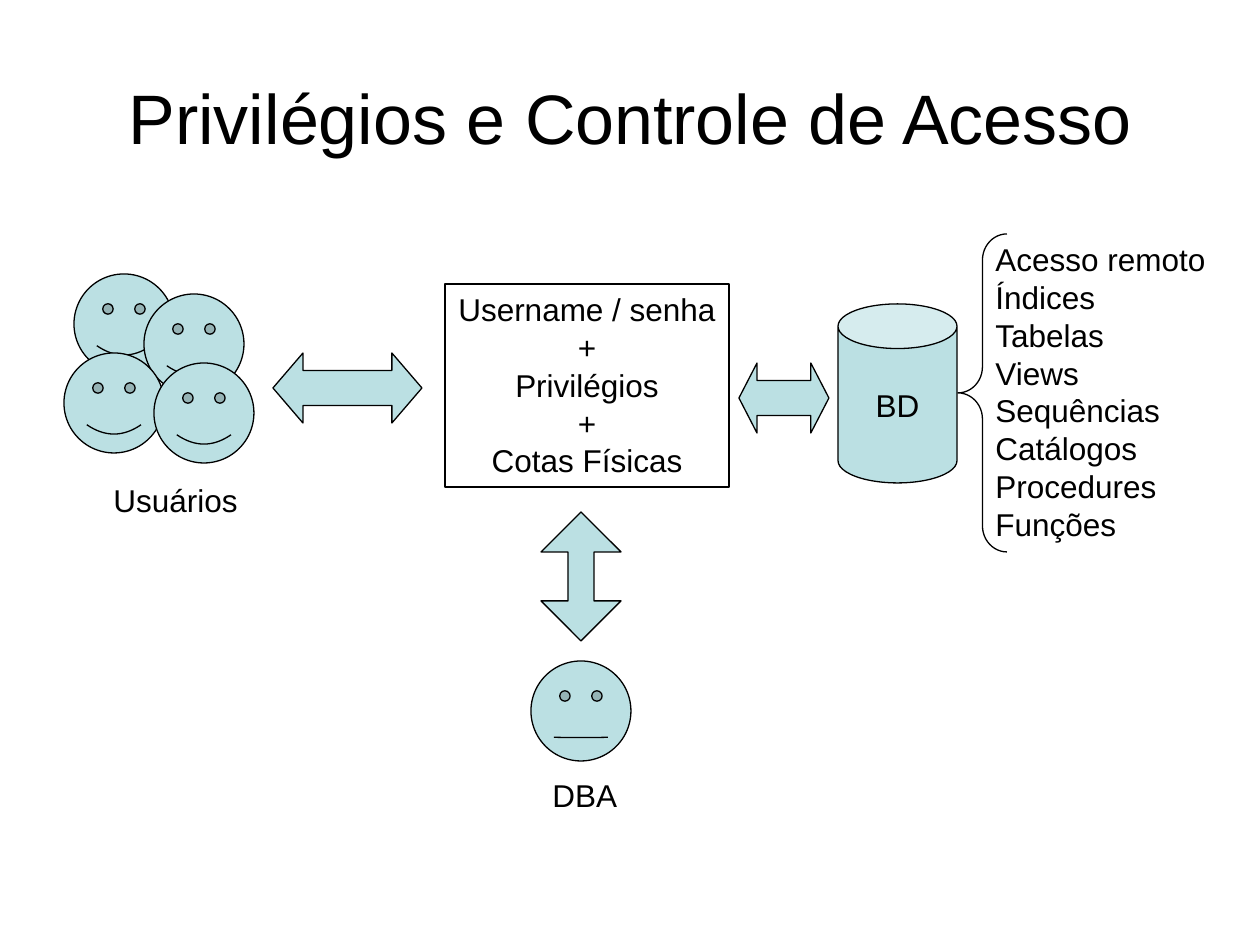
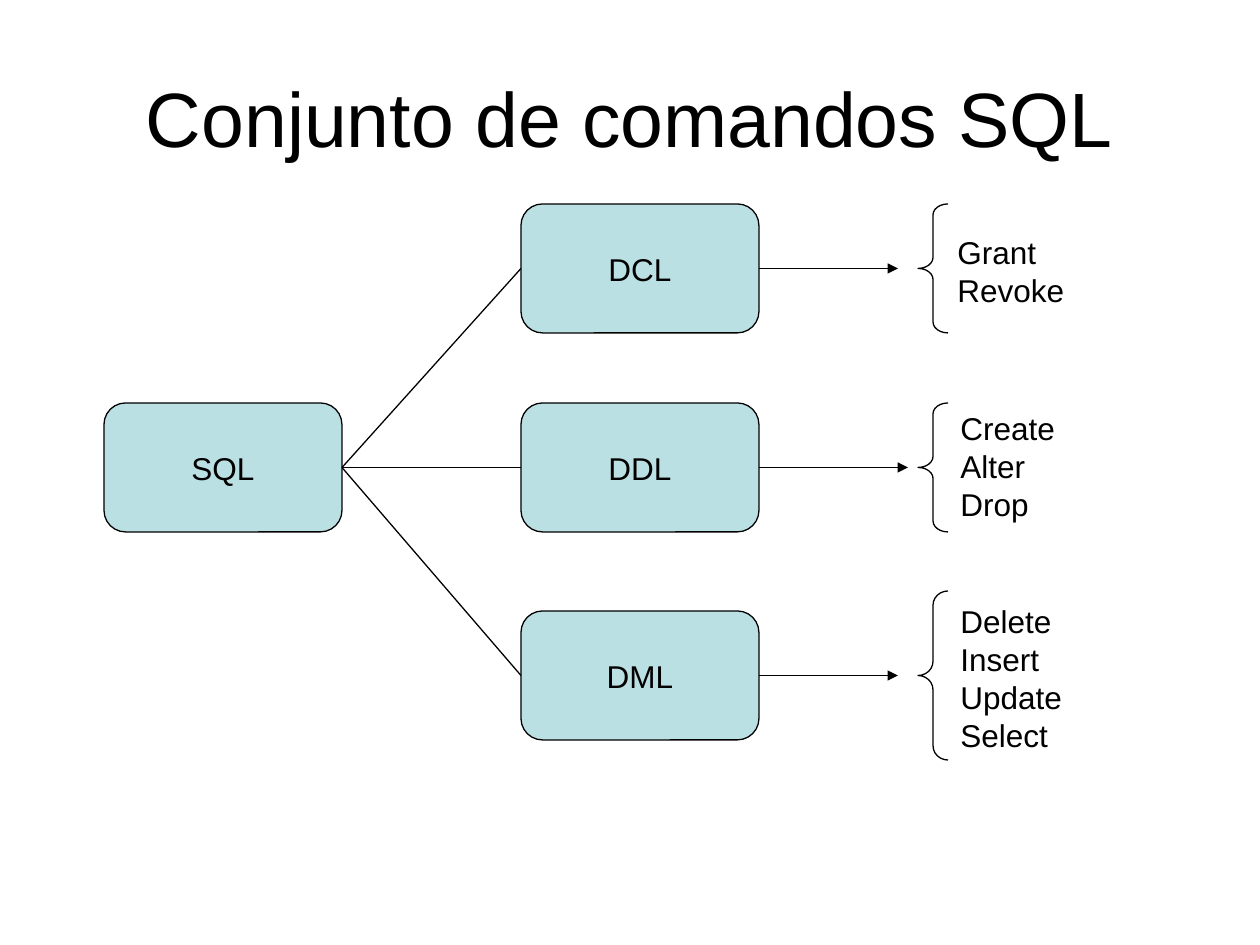
import lxml.etree
import pptx
import pptx.dml.color
import pptx.enum.shapes
import pptx.enum.text
import pptx.oxml.ns
import pptx.util

SHAPE = pptx.enum.shapes.MSO_SHAPE
ALIGN = pptx.enum.text.PP_ALIGN
ANCHOR = pptx.enum.text.MSO_ANCHOR
FIT = pptx.enum.text.MSO_AUTO_SIZE

BLACK = pptx.dml.color.RGBColor(0x00, 0x00, 0x00)
PALE_TEAL = pptx.dml.color.RGBColor(0xBB, 0xE0, 0xE3)
FONT = "Arial"
PX_PER_INCH = 126
SLIDE_WIDTH, SLIDE_HEIGHT = 1260, 945
TITLE_BOX = (63, 38, 1134, 158)
LINE_WIDTH = pptx.util.Pt(0.75)
FACE = 100
SMILE, STRAIGHT = 0.0465, 0.001

CENTRED = {"word_wrap": False, "vertical_anchor": ANCHOR.MIDDLE}
GROWING = {"word_wrap": False, "vertical_anchor": ANCHOR.TOP,
           "auto_size": FIT.SHAPE_TO_FIT_TEXT}
WRAPPED = {**GROWING, "word_wrap": True}
TITLE_FRAME = {"word_wrap": True, "vertical_anchor": ANCHOR.MIDDLE,
               "auto_size": FIT.NONE}


def px(length):
    return pptx.util.Emu(round(length * 914400 / PX_PER_INCH))


def set_all(target, values):
    for name, value in values.items():
        setattr(target, name, value)


def write(box, text, frame_format, align, size=18):
    frame = box.text_frame
    frame.text = text
    set_all(frame, frame_format)
    for para in frame.paragraphs:
        para.alignment = align
        for span in para.runs:
            set_all(span.font, {"name": FONT, "size": pptx.util.Pt(size)})
            span.font.color.rgb = BLACK


def set_line(line):
    line.color.rgb = BLACK
    line.width = LINE_WIDTH


def add_figure(page, kind, box, adjust=(), fill=PALE_TEAL):
    """Add an outlined preset shape, hollow when fill is None."""
    figure = page.shapes.add_shape(kind, *map(px, box))
    figure.shadow.inherit = False
    if fill is None:
        figure.fill.background()
    else:
        figure.fill.solid()
        figure.fill.fore_color.rgb = fill
    set_line(figure.line)
    for index, value in enumerate(adjust):
        figure.adjustments[index] = value
    return figure


def add_label(page, text, box, frame_format=GROWING):
    label = page.shapes.add_textbox(*map(px, box))
    write(label, text, frame_format, ALIGN.LEFT)


def add_brace(page, box, curve):
    add_figure(page, SHAPE.LEFT_BRACE, box, (curve, 0.5), None)


def add_link(page, source, target=None, end=(0, 0)):
    """Join source's right side to target's left side, or point an arrow at end."""
    link = page.shapes.add_connector(
        pptx.enum.shapes.MSO_CONNECTOR.STRAIGHT, 0, 0, *map(px, end))
    link.begin_connect(source, 3)
    set_line(link.line)
    if target is not None:
        link.end_connect(target, 1)
    else:
        lxml.etree.SubElement(link.line._get_or_add_ln(),
                              pptx.oxml.ns.qn("a:tailEnd"), type="triangle")
    lxml.etree.SubElement(link._element.spPr, pptx.oxml.ns.qn("a:effectLst"))


def add_page(deck, title, size):
    page = deck.slides.add_slide(deck.slide_layouts[5])
    heading = page.shapes.title
    set_all(heading, dict(zip(("left", "top", "width", "height"), map(px, TITLE_BOX))))
    write(heading, title, TITLE_FRAME, ALIGN.CENTER, size)
    return page


def add_users(page, left, top):
    for across, down in ((10, 0), (80, 20), (0, 79), (90, 89)):
        add_figure(page, SHAPE.SMILEY_FACE,
                   (left + across, top + down, FACE, FACE), (SMILE,))
    add_label(page, "Usuários", (left + 37, top + 201, 150, 50))


def add_administrator(page, left, top):
    add_figure(page, SHAPE.SMILEY_FACE, (left, top, FACE, FACE), (STRAIGHT,))
    add_label(page, "DBA", (left + 9, top + 109, 91, 50))


def add_access_check(page, left, top):
    check = add_figure(page, SHAPE.RECTANGLE, (left, top, 284, 203), fill=None)
    write(check, "Username / senha\n+\nPrivilégios\n+\nCotas Físicas",
          GROWING, ALIGN.CENTER)


def add_database(page, left, top):
    """Place the cylinder and the braced list of what it holds."""
    cylinder = add_figure(page, SHAPE.CAN, (left, top, 119, 179), (0.375,))
    write(cylinder, "BD", CENTRED, ALIGN.CENTER)
    contents = ("Acesso remoto", "Índices", "Tabelas", "Views",
                "Sequências", "Catálogos", "Procedures", "Funções")
    add_label(page, "\n".join(contents), (left + 145, top - 70, 263, 315), WRAPPED)
    add_brace(page, (left + 120, top - 70, 49, 318), 0.533)


def build_access_page(deck):
    page = add_page(deck, "Privilégios e Controle de Acesso", 40)
    add_users(page, 64, 274)
    add_access_check(page, 445, 284)
    add_database(page, 838, 304)
    add_administrator(page, 531, 661)
    for kind, box, head in (
        (SHAPE.LEFT_RIGHT_ARROW, (273, 353, 149, 70), 0.429),
        (SHAPE.LEFT_RIGHT_ARROW, (739, 363, 90, 70), 0.258),
        (SHAPE.UP_DOWN_ARROW, (541, 512, 80, 129), 0.325),
    ):
        add_figure(page, kind, box, (0.5, head))


NODE_WIDTH, NODE_HEIGHT = 238, 129


def add_node(page, name, left, top):
    node = add_figure(page, SHAPE.ROUNDED_RECTANGLE,
                      (left, top, NODE_WIDTH, NODE_HEIGHT), (0.167,))
    write(node, name, CENTRED, ALIGN.CENTER)
    return node


def add_branch(page, root, left, top, name, commands, list_box, rise, curve, reach):
    """Place one language node, its arrow and its braced commands.

    list_box is relative to the node; rise is how far the brace overshoots it.
    """
    node = add_node(page, name, left, top)
    add_link(page, root, node)
    across, down, width, height = list_box
    add_label(page, "\n".join(commands), (left + across, top + down, width, height))
    add_brace(page, (left + 397, top - rise, 30, NODE_HEIGHT + 2 * rise), curve)
    add_link(page, node, end=(left + NODE_WIDTH + reach, top + NODE_HEIGHT / 2))


def build_commands_page(deck):
    page = add_page(deck, "Conjunto de comandos SQL", 44)
    root = add_node(page, "SQL", 104, 403)
    for top, *branch in (
        (204, "DCL", ("Grant", "Revoke"), (424, 23, 132, 88), 0, 0.362, 139),
        (403, "DDL", ("Create", "Alter", "Drop"), (427, 0, 120, 126), 0, 0.362, 149),
        (611, "DML", ("Delete", "Insert", "Update", "Select"),
         (427, -15, 127, 164), 20, 0.472, 139),
    ):
        add_branch(page, root, 521, top, *branch)


def main():
    deck = pptx.Presentation()
    deck.slide_width, deck.slide_height = px(SLIDE_WIDTH), px(SLIDE_HEIGHT)
    build_access_page(deck)
    build_commands_page(deck)
    deck.save("out.pptx")


if __name__ == "__main__":
    main()
